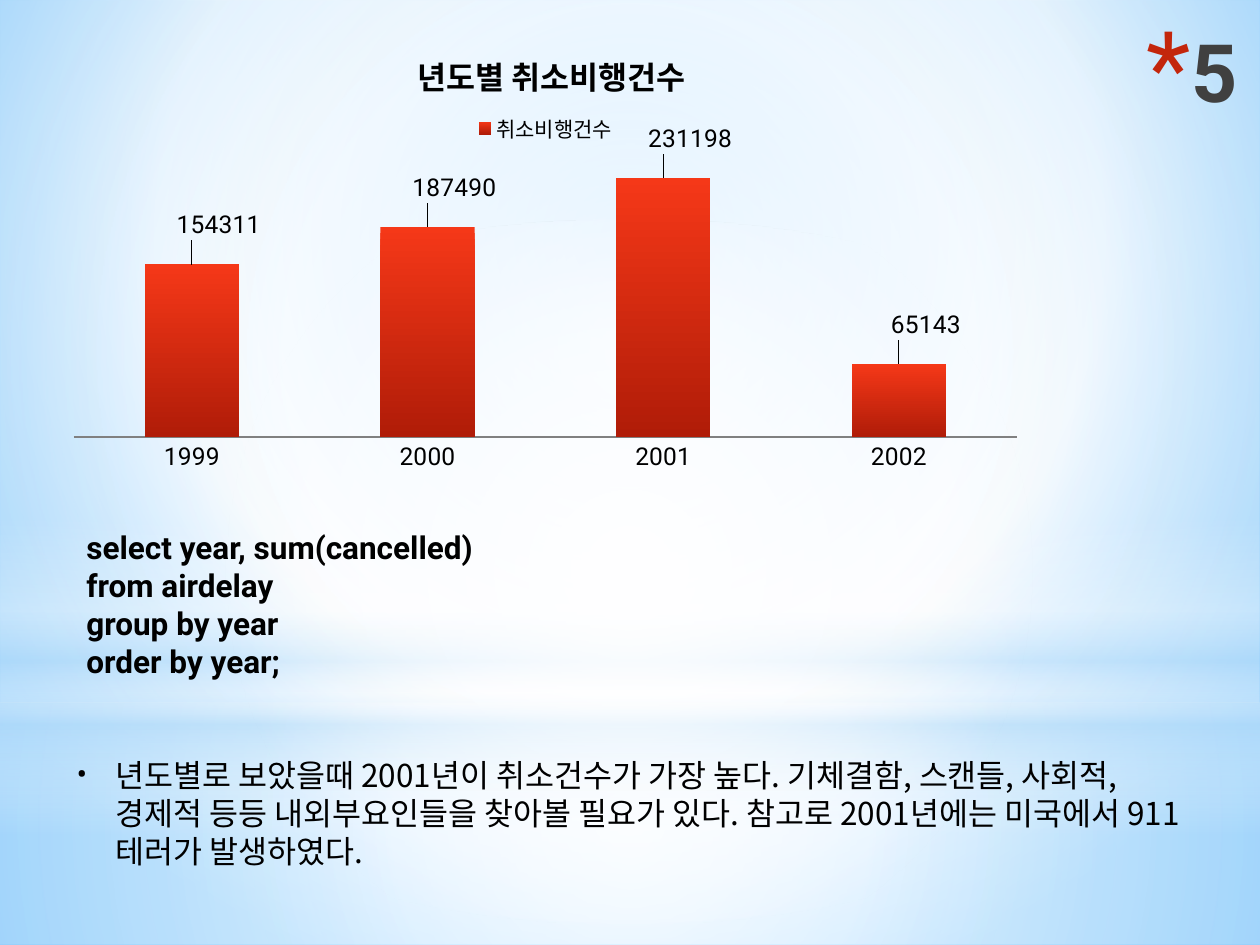
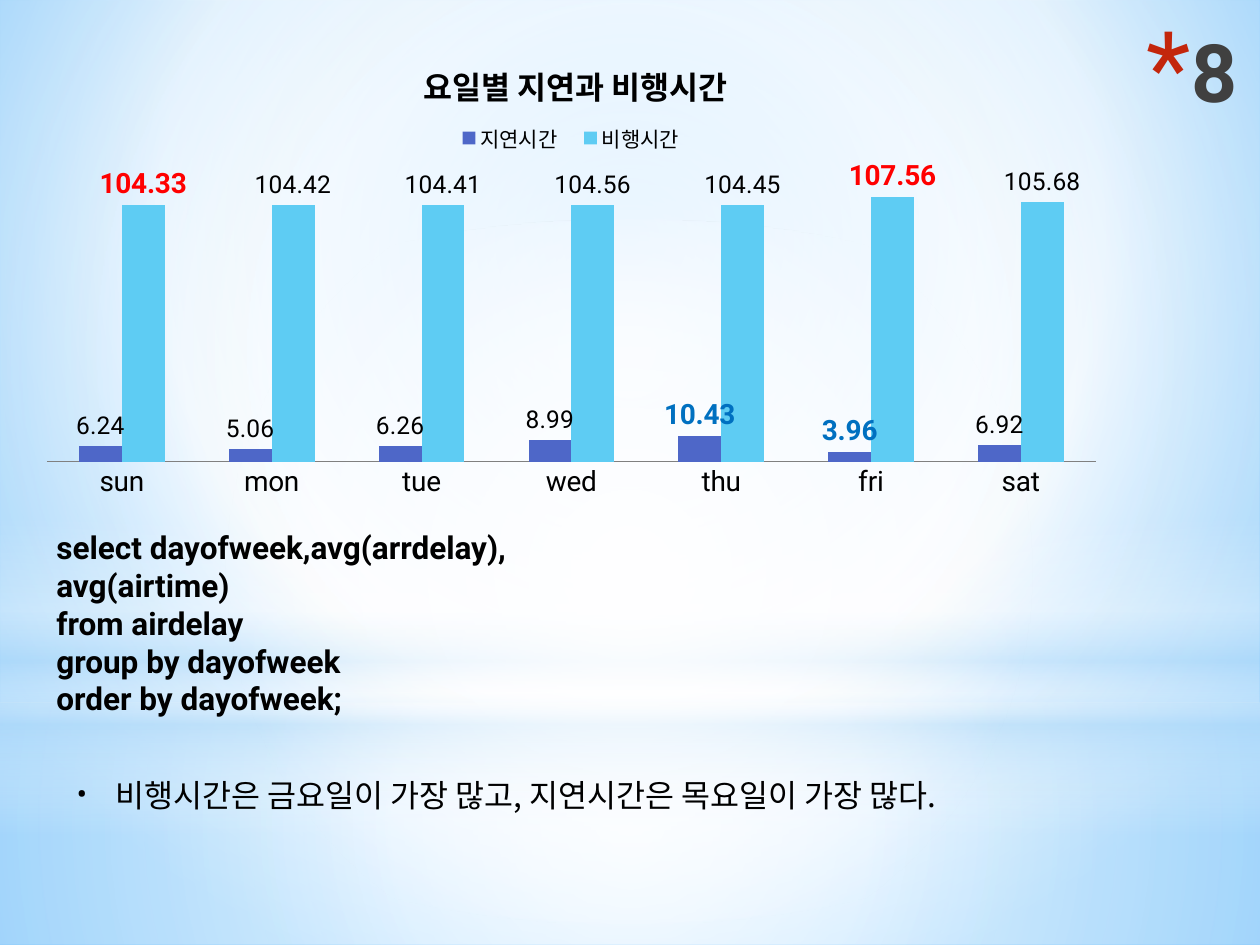
from lxml.etree import SubElement
from pptx import Presentation
from pptx.chart.data import CategoryChartData
from pptx.dml.color import RGBColor
from pptx.enum.chart import (XL_CHART_TYPE, XL_LABEL_POSITION,
                             XL_LEGEND_POSITION, XL_TICK_MARK)
from pptx.enum.shapes import MSO_SHAPE
from pptx.enum.text import MSO_ANCHOR, MSO_AUTO_SIZE, PP_ALIGN
from pptx.oxml.ns import qn
from pptx.util import Emu, Pt

EMU_PER_PX = 914400 / 126
LATIN, KOREAN = "Roboto", "Noto Sans CJK KR"
COLORS = {
    "text": "000000", "star": "C3260C", "axis": "808080",
    "white": "FFFFFF", "haze": "B4DCFA", "sky": "9ED5FF", "deep sky": "5BB9FF",
    "ink": "404040", "navy": "212745",
    "bar top": "F53818", "bar foot": "B01C08",
    "delay": "4E67C8", "airtime": "5ECCF3",
    "low": "0070C0", "high": "FF0000",
}


def px(length):
    return Emu(round(length * EMU_PER_PX))


def rgb(name):
    return RGBColor.from_string(COLORS[name])


def place(placeholder, box):
    (placeholder.left, placeholder.top,
     placeholder.width, placeholder.height) = map(px, box)


def paint_gradient(fill, stops, center=None):
    """Stops are (position %, color, opacity %); center gives a circular path."""
    fill.solid()
    solid = fill._xPr.find(qn("a:solidFill"))
    gradient = solid.makeelement(qn("a:gradFill"), {"rotWithShape": "1"})
    stop_list = SubElement(gradient, qn("a:gsLst"))
    for position, color, opacity in stops:
        stop = SubElement(stop_list, qn("a:gs"), pos=str(position * 1000))
        tone = SubElement(stop, qn("a:srgbClr"), val=COLORS[color])
        if opacity < 100:
            SubElement(tone, qn("a:alpha"), val=str(opacity * 1000))
    if center:
        circle = SubElement(gradient, qn("a:path"), {"path": "circle"})
        sides = {side: str(inset * 1000) for side, inset in zip("ltrb", center)}
        SubElement(circle, qn("a:fillToRect"), sides)
    else:
        SubElement(gradient, qn("a:lin"), ang="5400000", scaled="0")
    solid.getparent().replace(solid, gradient)


def style_font(font, size, face=LATIN, bold=False, color="text"):
    font.size, font.bold, font.name = Pt(size), bold, face
    font.color.rgb = rgb(color)
    props = font._rPr
    east_asian = props.makeelement(qn("a:ea"), {"typeface": face})
    props.find(qn("a:latin")).addnext(east_asian)


def add_run(paragraph, text):
    run = paragraph.add_run()
    run.text = text
    return run


def add_bullet(paragraph, mark, indent, color=None, percent=100):
    props = paragraph._p.get_or_add_pPr()
    props.set("marL", str(px(indent)))
    props.set("indent", str(-px(indent)))
    if color:
        tint = SubElement(props, qn("a:buClr"))
        SubElement(tint, qn("a:srgbClr"), val=COLORS[color])
    SubElement(props, qn("a:buSzPct"), val=str(percent * 1000))
    SubElement(props, qn("a:buFont"), typeface=LATIN)
    SubElement(props, qn("a:buChar"), char=mark)


# Shared backdrop: drawn once, then moved to the layout
def build_backdrop(slide, layout):
    paint_gradient(layout.background.fill,
                   [(0, "sky", 100), (60, "white", 100), (100, "deep sky", 100)],
                   (20, 10, 20, 60))
    middle = (50, 50, 50, 50)
    layers = [
        (MSO_SHAPE.RECTANGLE, (0, 703, 1260, 242), middle,
         [(0, "white", 91), (37, "white", 76), (100, "haze", 79)]),
        (MSO_SHAPE.RECTANGLE, (0, 0, 1260, 703), middle,
         [(0, "white", 89), (48, "white", 62), (100, "haze", 79)]),
        (MSO_SHAPE.RECTANGLE, (0, 519, 1260, 315), None,
         [(0, "white", 0), (29, "white", 30), (45, "haze", 40),
          (55, "white", 26), (65, "haze", 60), (100, "white", 0)]),
        (MSO_SHAPE.OVAL, (0, 220, 1260, 703), middle,
         [(0, "white", 100), (56, "white", 0)]),
    ]
    for number, (outline, box, center, stops) in enumerate(layers):
        layer = slide.shapes.add_shape(outline, *map(px, box))
        layer.shadow.inherit = False
        layer.line.fill.background()
        paint_gradient(layer.fill, stops, center)
        layer.element.nvSpPr.cNvPr.set("id", str(20 + number))
        layout.shapes.element.append(layer.element)


# Slide number in the title placeholder
def fill_title(title, number):
    place(title, (353, 16, 897, 158))
    frame = title.text_frame
    frame.auto_size = MSO_AUTO_SIZE.NONE
    frame.vertical_anchor = MSO_ANCHOR.TOP
    heading = frame.paragraphs[0]
    heading.alignment = PP_ALIGN.RIGHT
    add_bullet(heading, "*", 44, "star", 128)
    font = add_run(heading, number).font
    style_font(font, 46, bold=True)
    paint_gradient(font.fill, [(0, "text", 100), (40, "ink", 100),
                               (100, "navy", 65)])


# Finding in the body placeholder
def fill_finding(body, box, text):
    place(body, box)
    frame = body.text_frame
    frame.auto_size = MSO_AUTO_SIZE.NONE
    frame.vertical_anchor = MSO_ANCHOR.TOP
    finding = frame.paragraphs[0]
    finding.space_before = Pt(0)
    finding.line_spacing = Pt(21.6)
    add_bullet(finding, "•", 39)
    style_font(add_run(finding, text).font, 18, KOREAN)


# SQL query, one clause a paragraph
def add_query(slide, box, clauses):
    frame = slide.shapes.add_textbox(*map(px, box)).text_frame
    frame.word_wrap = True
    for index, clause in enumerate(clauses):
        line = frame.add_paragraph() if index else frame.paragraphs[0]
        style_font(add_run(line, clause).font, 18, bold=True)


def set_layout(parent, index, chart_size, left, top, size=None, inner=False,
               edge=True):
    """Place a chart part, in px from the chart's corner or its usual place."""
    old = parent.find(qn("c:layout"))
    if old is not None:
        parent.remove(old)
    layout = parent.makeelement(qn("c:layout"), {})
    parent.insert(index, layout)
    manual = SubElement(layout, qn("c:manualLayout"))
    if inner:
        SubElement(manual, qn("c:layoutTarget"), val="inner")
    if edge:
        for mode in ("c:xMode", "c:yMode"):
            SubElement(manual, qn(mode), val="edge")
    for tag, length, whole in zip("xywh", (left, top, *(size or ())),
                                  chart_size * 2):
        SubElement(manual, qn(f"c:{tag}"), val=f"{length / whole:.4f}")


def add_column_chart(slide, box, title, title_width, plot_box, top_value,
                     categories, series, category_size, number_format):
    size = box[2:]
    data = CategoryChartData(number_format=number_format)
    data.categories = categories
    for name, values in series:
        data.add_series(name, values)
    chart = slide.shapes.add_chart(XL_CHART_TYPE.COLUMN_CLUSTERED,
                                   *map(px, box), data).chart
    style_font(chart.font, 10)

    # Title and legend, centred
    chart.has_title = True
    heading = chart.chart_title.text_frame.paragraphs[0]
    style_font(add_run(heading, title).font, 18, KOREAN, bold=True)
    set_layout(chart.chart_title._element, 1, size,
               (size[0] - title_width) / 2, 27)
    chart.has_legend = True
    chart.legend.position = XL_LEGEND_POSITION.TOP
    chart.legend.include_in_layout = False
    style_font(chart.legend.font, 12, KOREAN)
    legend_width = 40 + 108 * len(series)
    set_layout(chart.legend._element, 1, size, (size[0] - legend_width) / 2, 94,
               (legend_width, 36))

    # Axes and plot
    value_axis, category_axis = chart.value_axis, chart.category_axis
    value_axis.minimum_scale, value_axis.maximum_scale = 0, top_value
    value_axis.has_major_gridlines = False
    value_axis.visible = False
    category_axis.major_tick_mark = XL_TICK_MARK.NONE
    category_axis.format.line.color.rgb = rgb("axis")
    category_axis.format.line.width = Pt(0.75)
    style_font(category_axis.tick_labels.font, category_size)
    plot = chart.plots[0]
    plot.gap_width, plot.overlap = 150, 0
    plot.vary_by_categories = False
    set_layout(plot._element.getparent(), 0, size, *plot_box[:2],
               plot_box[2:], inner=True)

    for columns in plot.series:
        labels = columns.data_labels
        labels.show_value = True
        labels.position = XL_LABEL_POSITION.OUTSIDE_END
        labels.number_format = number_format
        labels.number_format_is_linked = False
        style_font(labels.font, 14)
    return chart


def style_point_label(columns, index, size, bold=False, color="text"):
    label = columns.points[index].data_label
    style_font(label.font, size, bold=bold, color=color)
    label.position = XL_LABEL_POSITION.OUTSIDE_END
    return label


def build_cancelled_by_year(slide):
    fill_title(slide.shapes.title, "5")
    box = (54, 16, 983, 466)
    chart = add_column_chart(
        slide, box, "년도별 취소비행건수", 268, (20, 141, 943, 280), 250000,
        ["1999", "2000", "2001", "2002"],
        [("취소비행건수", [154311, 187490, 231198, 65143])], 14, "General")
    cancelled = chart.plots[0].series[0]
    paint_gradient(cancelled.format.fill,
                   [(0, "bar top", 100), (100, "bar foot", 100)])
    for year in range(4):
        label = style_point_label(cancelled, year, 14)
        set_layout(label._dLbl, 1, box[2:], 27, -19, edge=False)
    add_query(slide, (74, 522, 630, 165),
              ["select year, sum(cancelled)", "from airdelay",
               "group by year", "order by year;"])
    fill_finding(slide.placeholders[1], (64, 750, 1150, 127),
                 "년도별로 보았을때 2001년이 취소건수가 가장 높다. 기체결함, 스캔들, "
                 "사회적, 경제적 등등 내외부요인들을 찾아볼 필요가 있다. 참고로 "
                 "2001년에는 미국에서 911테러가 발생하였다.")


def build_delay_by_weekday(slide):
    fill_title(slide.shapes.title, "8")
    add_query(slide, (44, 522, 630, 204),
              ["select dayofweek,avg(arrdelay), avg(airtime)",
               "from airdelay", "group by dayofweek", "order by dayofweek;"])
    chart = add_column_chart(
        slide, (25, 26, 1092, 483), "요일별 지연과 비행시간", 306,
        (22, 141, 1049, 295), 120,
        ["sun", "mon", "tue", "wed", "thu", "fri", "sat"],
        [("지연시간", [6.24, 5.06, 6.26, 8.99, 10.43, 3.96, 6.92]),
         ("비행시간", [104.33, 104.42, 104.41, 104.56, 104.45, 107.56, 105.68])],
        16, "0.00")
    # Extremes of each series stand out
    highlights = [("delay", "low", (4, 5)), ("airtime", "high", (0, 5))]
    for columns, (fill, accent, days) in zip(chart.plots[0].series, highlights):
        columns.format.fill.solid()
        columns.format.fill.fore_color.rgb = rgb(fill)
        for day in days:
            style_point_label(columns, day, 16, True, accent)
    fill_finding(slide.placeholders[1], (64, 770, 983, 50),
                 "비행시간은 금요일이 가장 많고, 지연시간은 목요일이 가장 많다.")


def main():
    deck = Presentation()
    deck.slide_width, deck.slide_height = px(1260), px(945)
    layout = deck.slide_layouts[1]
    years = deck.slides.add_slide(layout)
    build_backdrop(years, layout)
    build_cancelled_by_year(years)
    build_delay_by_weekday(deck.slides.add_slide(layout))
    deck.save("out.pptx")


if __name__ == "__main__":
    main()
